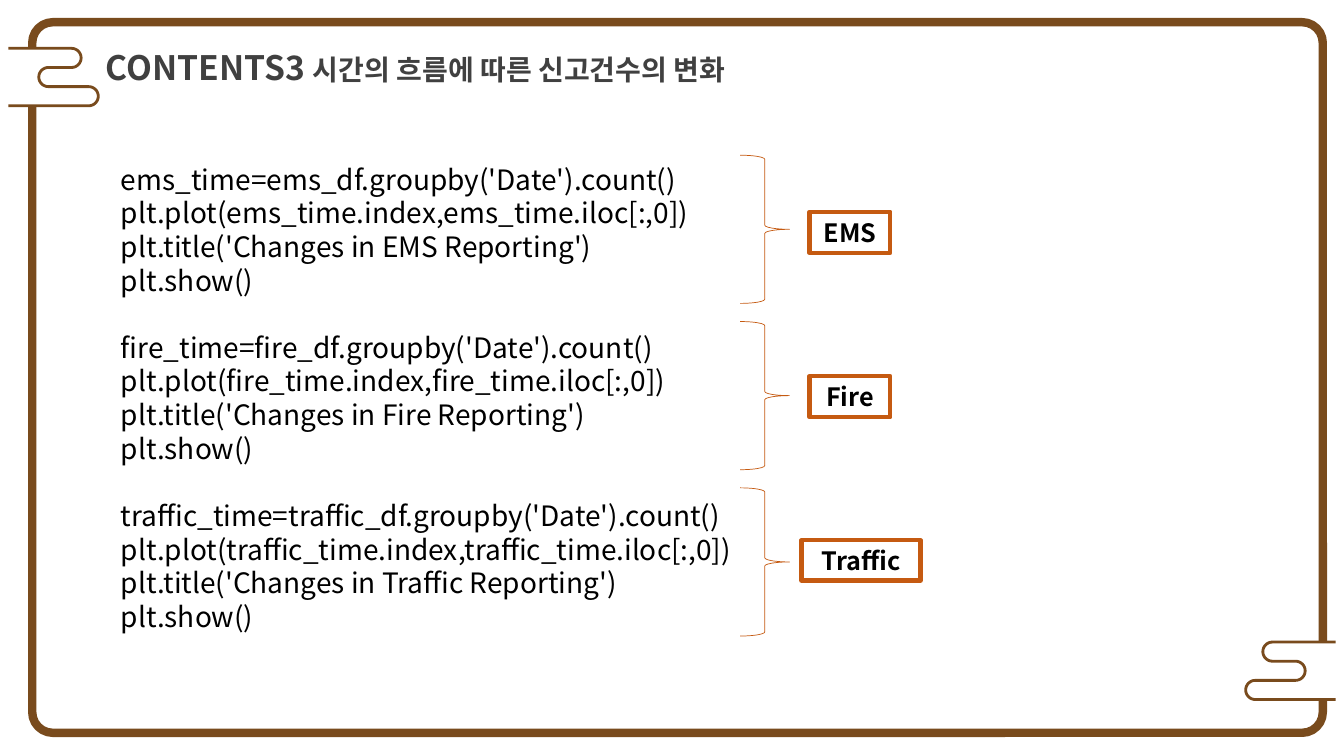
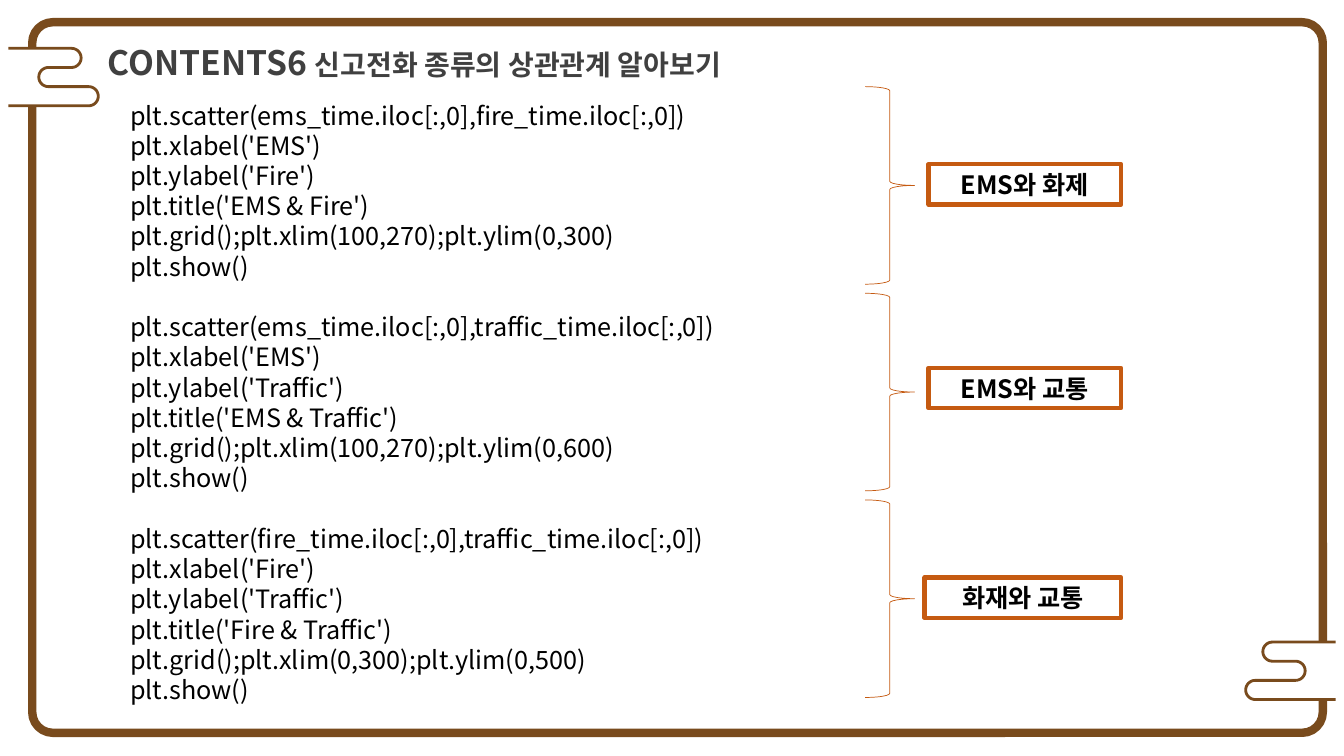
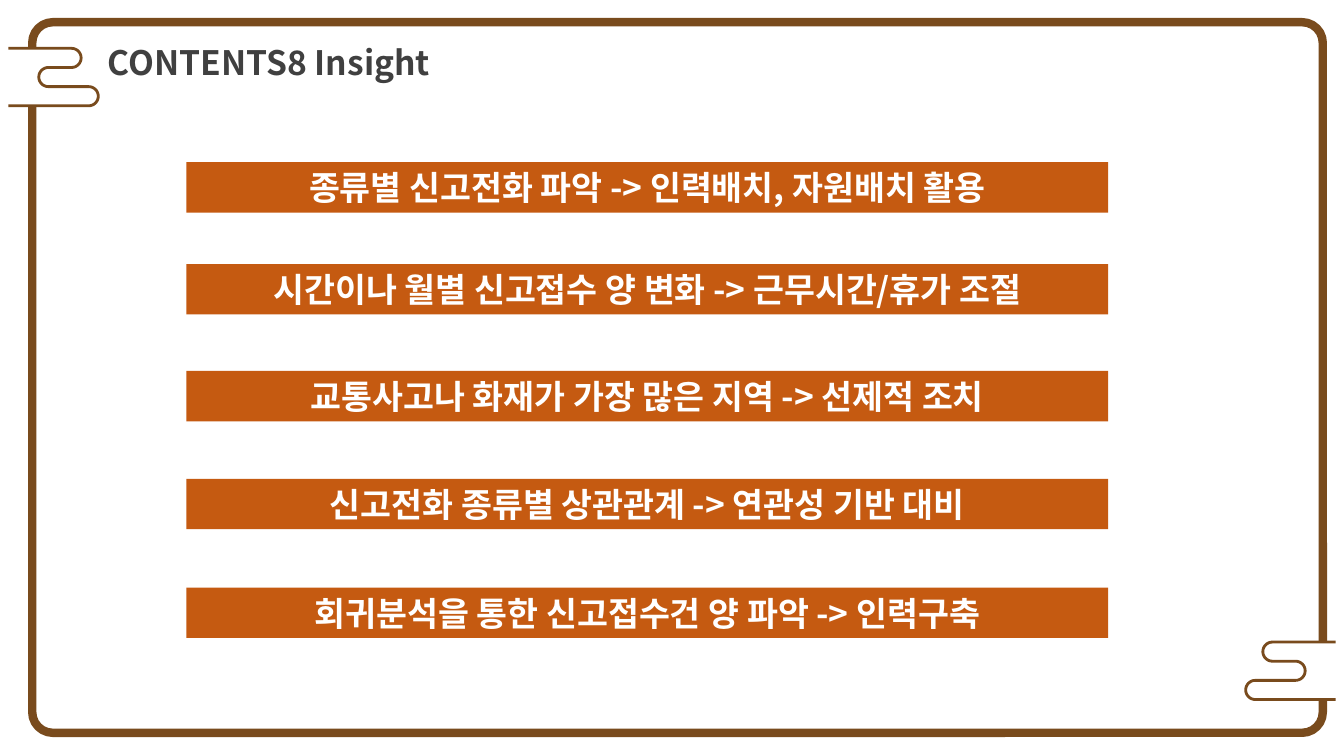
from dataclasses import dataclass
from math import cos, pi, sin

from lxml import etree
from pptx import Presentation
from pptx.dml.color import RGBColor
from pptx.enum.shapes import MSO_SHAPE
from pptx.enum.text import MSO_ANCHOR, MSO_AUTO_SIZE, PP_ALIGN
from pptx.oxml.ns import qn
from pptx.util import Inches, Pt

RECT, ROUND_RECT = MSO_SHAPE.RECTANGLE, MSO_SHAPE.ROUNDED_RECTANGLE
FRAME, BRACE = MSO_SHAPE.FRAME, MSO_SHAPE.RIGHT_BRACE
TOP, MIDDLE = MSO_ANCHOR.TOP, MSO_ANCHOR.MIDDLE
LEFT, CENTER = PP_ALIGN.LEFT, PP_ALIGN.CENTER
NO_FIT = MSO_AUTO_SIZE.NONE

COLORS = {"brown": "794B1D", "orange": "C55A11", "white": "FFFFFF",
          "black": "000000", "gray": "404040"}
FONT = "Noto Sans CJK KR"
SLIDE_W, SLIDE_H = 13.33, 7.5
LINE_RATIO = 1.2
TITLE_ONLY, TITLE_BODY = 5, 1


@dataclass
class Box:
    x: float
    y: float
    w: float
    h: float

    def lengths(self) -> tuple:
        return Inches(self.x), Inches(self.y), Inches(self.w), Inches(self.h)


@dataclass
class Label:
    text: str
    box: Box


@dataclass
class CodeSlide:
    title: list[str]
    title_box: Box
    blocks: list[list[str]]
    body_box: Box
    size: float
    brace: Box
    brace_step: float
    labels: list[Label]


def rgb(name: str) -> RGBColor:
    return RGBColor.from_string(COLORS[name])


def style_run(r, size: float, color: str, bold: bool) -> None:
    r.font.size, r.font.bold, r.font.name = Pt(size), bold, FONT
    r.font.color.rgb = rgb(color)
    etree.SubElement(r.font._element, qn("a:ea"), typeface=FONT)


def style_paragraph(p, align, line: float, before: float = 0) -> None:
    p.alignment, p.line_spacing = align, Pt(line)
    p.space_before, p.space_after = Pt(before), Pt(0)


def style_frame(tf, anchor) -> None:
    tf.word_wrap, tf.auto_size, tf.vertical_anchor = True, NO_FIT, anchor


def place(sp, box: Box) -> None:
    sp.left, sp.top, sp.width, sp.height = box.lengths()


def paint(sp, fill: str = "", line: str = "", width: float = 0) -> None:
    sp.shadow.inherit = False
    if fill:
        sp.fill.solid()
        sp.fill.fore_color.rgb = rgb(fill)
    else:
        sp.fill.background()
    if line:
        sp.line.color.rgb = rgb(line)
        sp.line.width = Pt(width)
    else:
        sp.line.fill.background()


def add_text_box(slide, label: Label, size: float, color: str,
                 fill: str = "", line: str = "") -> None:
    sp = slide.shapes.add_shape(RECT, *label.box.lengths())
    paint(sp, fill, line, 3)
    tf = sp.text_frame
    tf.text = label.text
    style_frame(tf, MIDDLE)
    style_paragraph(tf.paragraphs[0], CENTER, size * LINE_RATIO)
    style_run(tf.paragraphs[0].runs[0], size, color, True)


def half_circle(x: float, y: float, r: float, side: int) -> list[tuple]:
    angles = [-pi / 2 + pi * i / 16 for i in range(17)]
    return [(x + side * r * cos(a), y + r * sin(a)) for a in angles]


def add_cloud(slide, edge: float, side: int, top: float) -> None:
    r = 0.095
    pts = [(0.01, 0)]
    for i, (x, turn) in enumerate([(0.71, 1), (0.48, -1), (0.88, 1)]):
        pts += half_circle(x, r * (2 * i + 1), r, turn)
    pts.append((0.01, 6 * r))
    pts = [(Inches(edge + side * x), Inches(top + y)) for x, y in pts]
    fb = slide.shapes.build_freeform(*pts[0])
    fb.add_line_segments(pts[1:], close=True)
    paint(fb.convert_to_shape(), "white", "brown", 2)


def add_border(slide) -> None:
    sp = slide.shapes.add_shape(ROUND_RECT, *Box(0.32, 0.22, 12.8, 7.05).lengths())
    sp.adjustments[0] = 0.029
    paint(sp, line="brown", width=6)
    add_cloud(slide, 0, 1, 0.48)
    add_cloud(slide, SLIDE_W, -1, 6.37)
    sp = slide.shapes.add_shape(FRAME, *Box(0, 0, SLIDE_W, SLIDE_H).lengths())
    sp.adjustments[0] = 0.011
    paint(sp, "white")


def new_slide(prs, layout: int, title: list[str], box: Box):
    slide = prs.slides.add_slide(prs.slide_layouts[layout])
    add_border(slide)
    sp = slide.shapes.title
    place(sp, box)
    style_frame(sp.text_frame, TOP)
    p = sp.text_frame.paragraphs[0]
    style_paragraph(p, LEFT, 43.2)
    for text, size in zip(title, (24, 20)):
        r = p.add_run()
        r.text = text
        style_run(r, size, "gray", True)
    return slide


def add_code(slide, spec_: CodeSlide) -> None:
    sp = slide.placeholders[1]
    place(sp, spec_.body_box)
    tf = sp.text_frame
    tf.text = "\n".join(line for block in spec_.blocks for line in block)
    style_frame(tf, TOP)
    pitch = spec_.size * LINE_RATIO
    starts = {len(spec_.blocks[0]) * i for i in range(1, len(spec_.blocks))}
    for i, p in enumerate(tf.paragraphs):
        style_paragraph(p, LEFT, pitch, pitch if i in starts else 0)
        pPr = p._p.get_or_add_pPr()
        pPr.set("marL", "0")
        pPr.set("indent", "0")
        etree.SubElement(pPr, qn("a:buNone"))
        style_run(p.runs[0], spec_.size, "black", False)


def add_code_slide(prs, content: CodeSlide) -> None:
    slide = new_slide(prs, TITLE_BODY, content.title, content.title_box)
    add_code(slide, content)
    b = content.brace
    for i, label in enumerate(content.labels):
        box = Box(b.x, b.y + i * content.brace_step, b.w, b.h)
        sp = slide.shapes.add_shape(BRACE, *box.lengths())
        paint(sp, line="orange", width=0.5)
        add_text_box(slide, label, 18, "black", line="orange")


def time_code(name: str) -> list[str]:
    var = name.lower()
    return [f"{var}_time={var}_df.groupby('Date').count()",
            f"plt.plot({var}_time.index,{var}_time.iloc[:,0])",
            f"plt.title('Changes in {name} Reporting')",
            "plt.show()"]


def scatter_code(x: str, y: str, xlim: str, ylim: str) -> list[str]:
    return [f"plt.scatter({x.lower()}_time.iloc[:,0],{y.lower()}_time.iloc[:,0])",
            f"plt.xlabel('{x}')",
            f"plt.ylabel('{y}')",
            f"plt.title('{x} & {y}')",
            f"plt.grid();plt.xlim({xlim});plt.ylim({ylim})",
            "plt.show()"]


TITLE_BOX = Box(0.97, 0.17, 9.25, 0.63)

CODE_SLIDES = [
    CodeSlide(
        ["CONTENTS3 ", "시간의 흐름에 따른 신고건수의 변화"],
        Box(0.95, 0.22, 8.32, 0.63),
        [time_code("EMS"), time_code("Fire"), time_code("Traffic")],
        Box(1.1, 1.56, 6.67, 4.79), 20,
        Box(7.34, 1.54, 0.49, 1.47), 1.65,
        [Label("EMS", Box(8.03, 2.1, 0.8, 0.41)),
         Label("Fire", Box(8.03, 3.73, 0.8, 0.41)),
         Label("Traffic", Box(7.95, 5.36, 1.18, 0.4))]),
    CodeSlide(
        ["CONTENTS6 ", "신고전화 종류의 상관관계 알아보기"],
        TITLE_BOX,
        [scatter_code("EMS", "Fire", "100,270", "0,300"),
         scatter_code("EMS", "Traffic", "100,270", "0,600"),
         scatter_code("Fire", "Traffic", "0,300", "0,500")],
        Box(1.19, 0.94, 8.82, 6.16), 18,
        Box(8.58, 0.86, 0.49, 1.96), 2.05,
        [Label("EMS와 화제", Box(9.21, 1.63, 1.91, 0.4)),
         Label("EMS와 교통", Box(9.21, 3.65, 1.91, 0.4)),
         Label("화재와 교통", Box(9.17, 5.73, 1.95, 0.4))]),
]

INSIGHTS = [
    (1.61, "종류별 신고전화 파악 -> 인력배치, 자원배치 활용"),
    (2.62, "시간이나 월별 신고접수 양 변화 -> 근무시간/휴가 조절"),
    (3.68, "교통사고나 화재가 가장 많은 지역 -> 선제적 조치"),
    (4.75, "신고전화 종류별 상관관계 -> 연관성 기반 대비"),
    (5.83, "회귀분석을 통한 신고접수건 양 파악 -> 인력구축"),
]


def main() -> None:
    prs = Presentation()
    prs.slide_width, prs.slide_height = Inches(SLIDE_W), Inches(SLIDE_H)
    for content in CODE_SLIDES:
        add_code_slide(prs, content)
    slide = new_slide(prs, TITLE_ONLY, ["CONTENTS8 Insight"], TITLE_BOX)
    for top, text in INSIGHTS:
        add_text_box(slide, Label(text, Box(1.85, top, 9.14, 0.5)), 24, "white", fill="orange")
    prs.save("out.pptx")


if __name__ == "__main__":
    main()
